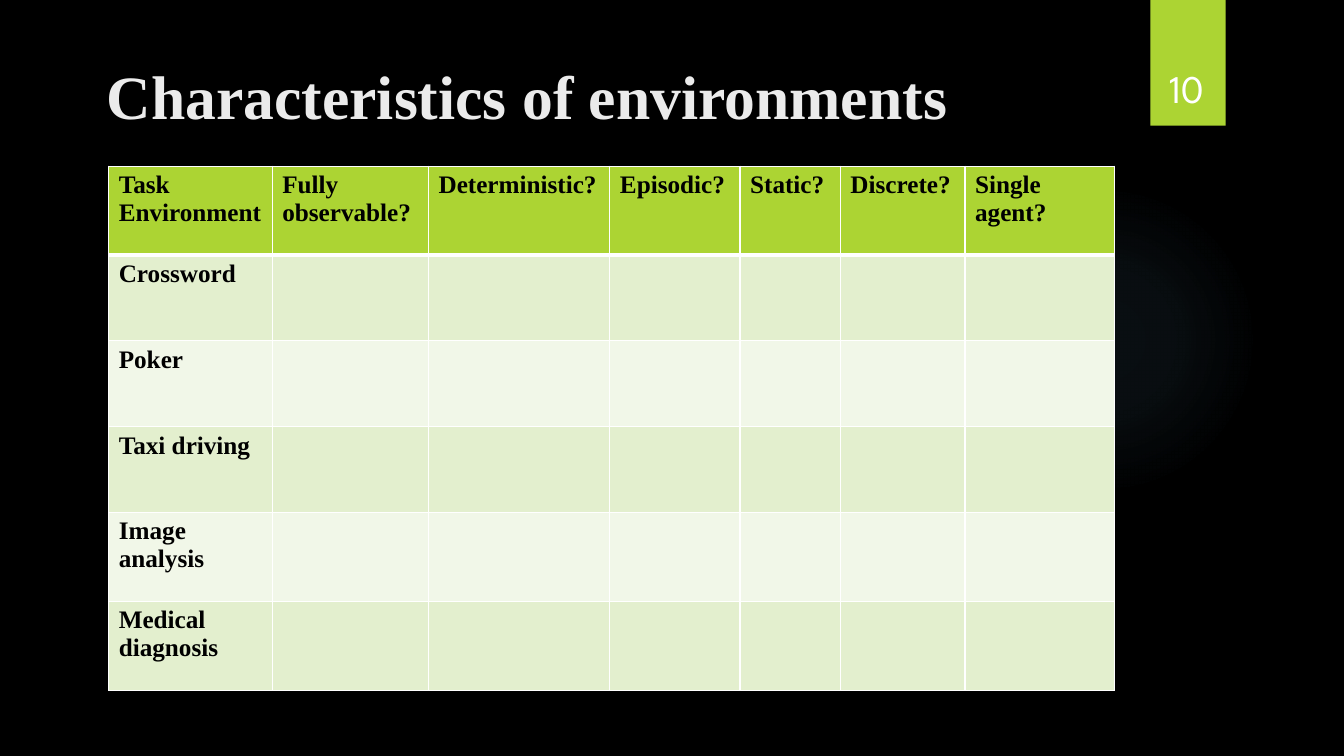
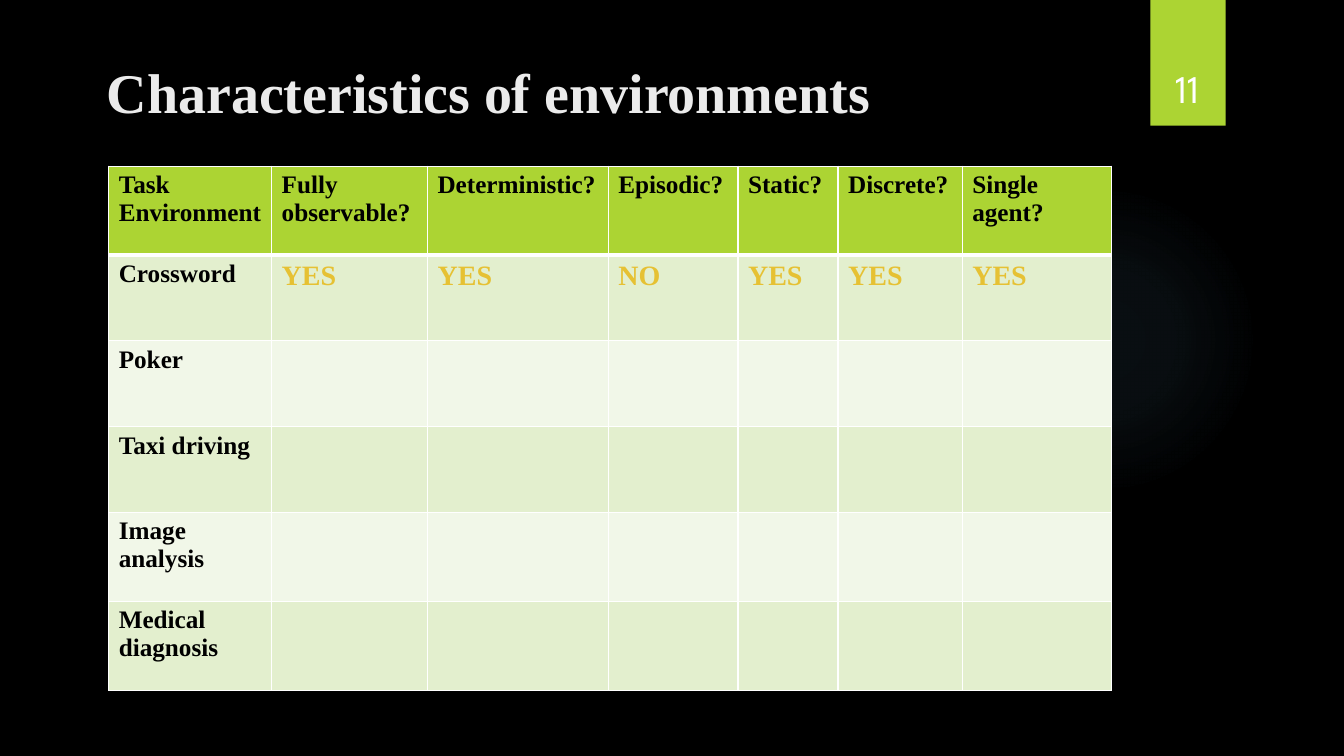
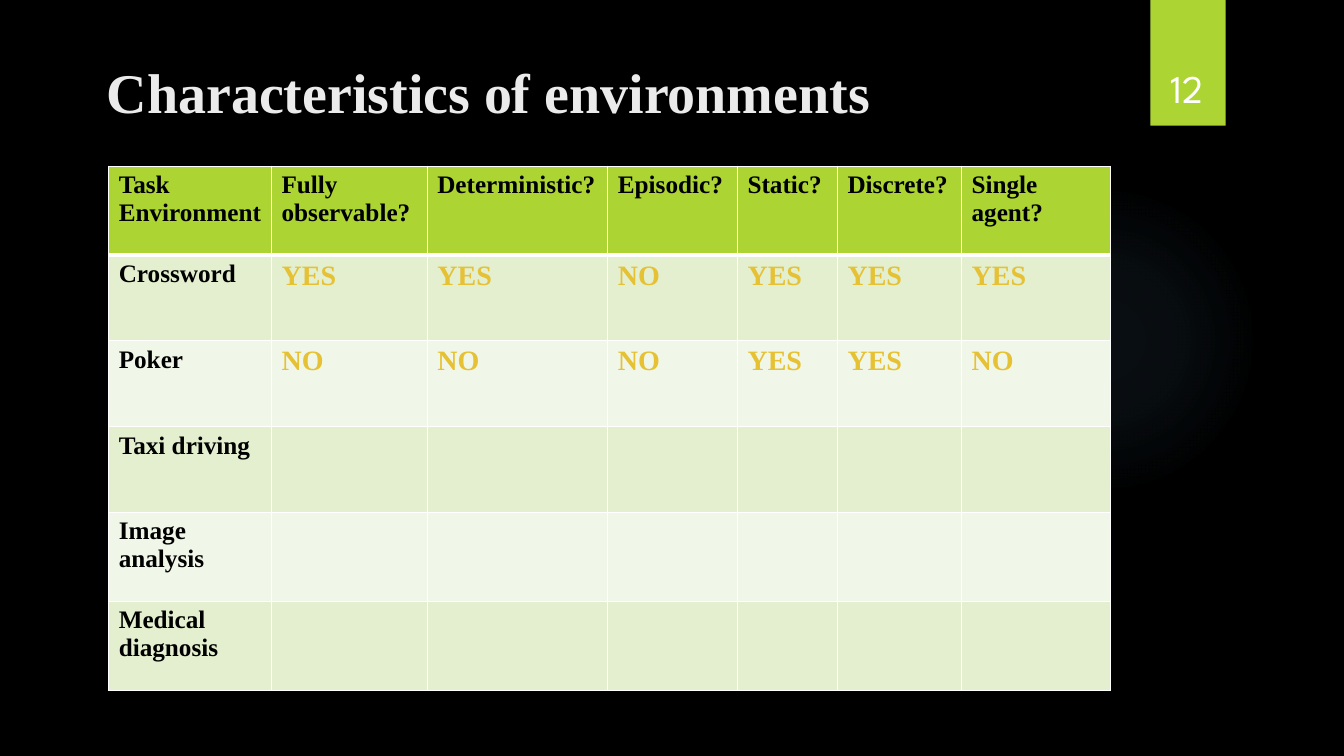
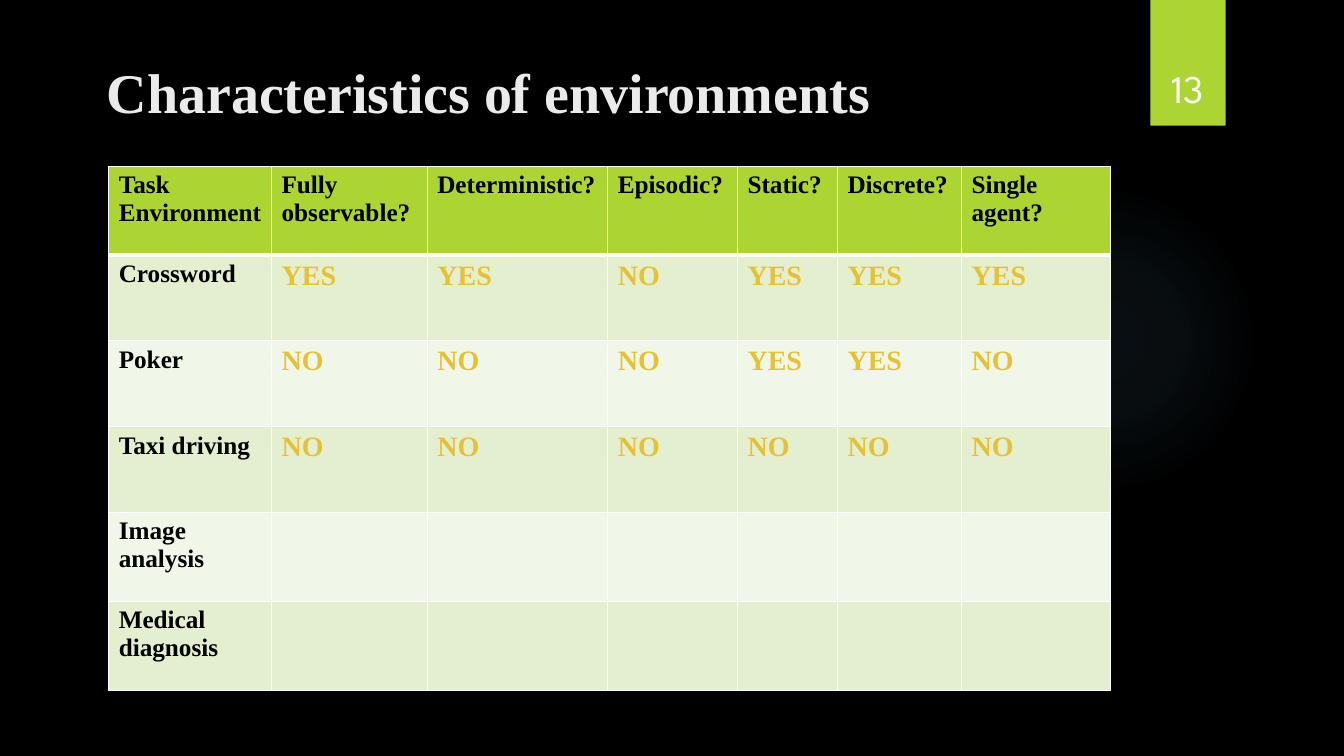
from lxml.etree import SubElement
from pptx import Presentation
from pptx.dml.color import RGBColor
from pptx.enum.shapes import MSO_SHAPE as Preset
from pptx.enum.text import MSO_ANCHOR as Anchor, MSO_AUTO_SIZE as AutoSize, PP_ALIGN as Align
from pptx.oxml.ns import qn
from pptx.util import Cm, Pt

BLACK, WHITE, LIME, GOLD = "000000", "FFFFFF", "ACD433", "E6C133"
TITLE_GREY, GLOW_BLUE = "EBEBEB", "7AC4F0"
BAND_FILLS = ["E3EFCE", "F1F7E8"]
SERIF, SANS = "Times New Roman", "League Spartan"

HEADINGS = ["Task Environment", "Fully observable?", "Deterministic?", "Episodic?",
            "Static?", "Discrete?", "Single agent?"]
TASKS = ["Crossword", "Poker", "Taxi driving", "Image analysis", "Medical diagnosis"]
ANSWERS = [
    ["YES", "YES", "NO", "YES", "YES", "YES"],
    ["NO", "NO", "NO", "YES", "YES", "NO"],
    ["NO"] * 6,
]
COLUMN_WIDTHS = [4.12, 3.94, 4.57, 3.28, 2.53, 3.14, 3.77]
ROW_HEIGHTS = [2.24, 2.16, 2.16, 2.16, 2.24, 2.24]
FIRST_NUMBER = 10


def color(code):
    return RGBColor.from_string(code)


def style_text(para, font_name, size, code, bold=False):
    font = para.font
    font.name, font.size, font.bold = font_name, Pt(size), bold
    font.color.rgb = color(code)


def add_plain_shape(page, preset, left, top, width, height):
    shape = page.shapes.add_shape(preset, Cm(left), Cm(top), Cm(width), Cm(height))
    shape.shadow.inherit = False
    shape.line.fill.background()
    return shape


def add_glow(page):
    glow = add_plain_shape(page, Preset.OVAL, 23.9, 4.65, 7.82, 7.82)
    glow.fill.background()
    properties = glow.element.spPr
    gradient = SubElement(properties, qn("a:gradFill"), rotWithShape="1")
    properties.replace(properties.find(qn("a:noFill")), gradient)
    stops = SubElement(gradient, qn("a:gsLst"))
    for position, opacity in [(0, 7), (36, 6), (69, 0)]:
        stop = SubElement(stops, qn("a:gs"), pos=str(position * 1000))
        tint = SubElement(stop, qn("a:srgbClr"), val=GLOW_BLUE)
        SubElement(tint, qn("a:alpha"), val=str(opacity * 1000))
    circle = SubElement(gradient, qn("a:path"), path="circle")
    SubElement(circle, qn("a:fillToRect"), l="50000", t="50000", r="50000", b="50000")


def add_number_tab(page, number):
    tab = add_plain_shape(page, Preset.RECTANGLE, 28.99, 0, 1.9, 3.17)
    tab.fill.solid()
    tab.fill.fore_color.rgb = color(LIME)
    box = page.shapes.add_textbox(Cm(28.75), Cm(0.81), Cm(2.34), Cm(2.13))
    frame = box.text_frame
    frame.word_wrap = True
    frame.vertical_anchor = Anchor.BOTTOM
    para = frame.paragraphs[0]
    para.text = str(number)
    para.alignment = Align.CENTER
    style_text(para, SANS, 28, WHITE)


def set_title(page, text, size):
    title = page.shapes.title
    title.left, title.top, title.width, title.height = Cm(2.44), Cm(1.32), Cm(26.14), Cm(2.13)
    frame = title.text_frame
    frame.auto_size = AutoSize.NONE
    frame.vertical_anchor = Anchor.TOP
    para = frame.paragraphs[0]
    para.text = text
    para.alignment = Align.LEFT
    style_text(para, SERIF, size, TITLE_GREY, bold=True)


def set_borders(cell, top, bottom):
    properties = cell._tc.get_or_add_tcPr()
    for side, points in [("L", 1), ("R", 1), ("T", top), ("B", bottom)]:
        line = SubElement(properties, qn(f"a:ln{side}"), w=str(Pt(points)))
        fill = SubElement(line, qn("a:solidFill"))
        SubElement(fill, qn("a:srgbClr"), val=WHITE)


def fill_cell(cell, text, fill, size, code):
    cell.fill.solid()
    cell.fill.fore_color.rgb = color(fill)
    cell.margin_right = Cm(0.15)
    para = cell.text_frame.paragraphs[0]
    para.text = text
    style_text(para, SERIF, size, code, bold=True)


def add_environment_table(page, width, answered):
    answers = ANSWERS[:answered] + [[""] * 6] * (len(TASKS) - answered)
    rows = [HEADINGS] + [[task, *row] for task, row in zip(TASKS, answers)]
    frame = page.shapes.add_table(len(rows), len(HEADINGS), Cm(2.74), Cm(4.19),
                                  Cm(width), Cm(sum(ROW_HEIGHTS)))
    table = frame.table
    scale = width / sum(COLUMN_WIDTHS)
    for column, base_width in zip(table.columns, COLUMN_WIDTHS):
        column.width = Cm(base_width * scale)
    for r, row in enumerate(rows):
        table.rows[r].height = Cm(ROW_HEIGHTS[r])
        fill = BAND_FILLS[(r - 1) % 2] if r else LIME
        for c, text in enumerate(row):
            cell = table.cell(r, c)
            set_borders(cell, top=3 if r == 1 else 1, bottom=3 if r == 0 else 1)
            is_answer = r > 0 and c > 0 and text
            size, code = (20, GOLD) if is_answer else (18, BLACK)
            fill_cell(cell, text, fill, size, code)


def main():
    deck = Presentation()
    deck.slide_width, deck.slide_height = Cm(33.87), Cm(19.05)
    layout = deck.slide_layouts[5]
    layout.background.fill.solid()
    layout.background.fill.fore_color.rgb = color(BLACK)
    for answered, (title_size, table_width) in enumerate(
            [(44, 25.35), (40, 25.27), (40, 25.25), (40, 25.25)]):
        page = deck.slides.add_slide(layout)
        add_glow(page)
        add_number_tab(page, FIRST_NUMBER + answered)
        set_title(page, "Characteristics of environments", title_size)
        add_environment_table(page, table_width, answered)
    deck.save("out.pptx")


if __name__ == "__main__":
    main()
